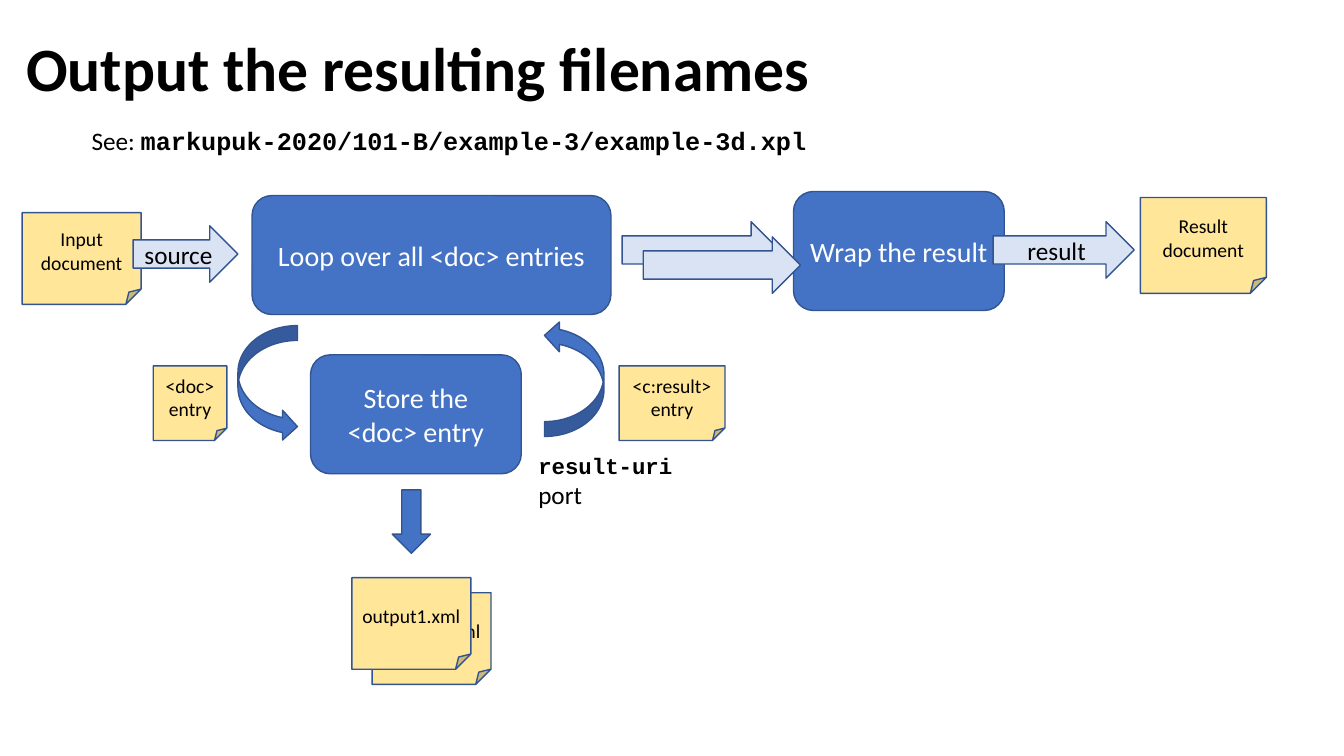
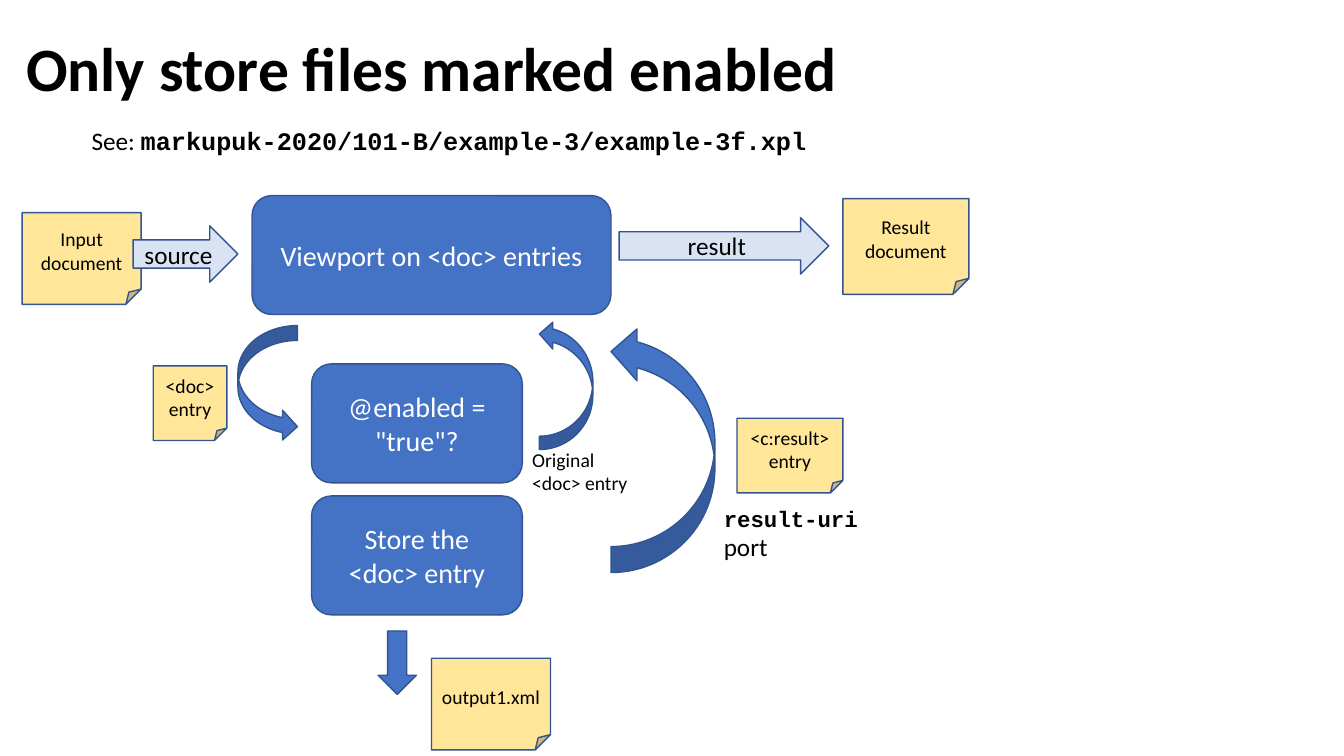
from pptx import Presentation
from pptx.dml.color import RGBColor
from pptx.enum.shapes import MSO_SHAPE
from pptx.enum.text import MSO_ANCHOR, MSO_AUTO_SIZE, PP_ALIGN
from pptx.util import Inches, Pt

BOX = MSO_SHAPE.ROUNDED_RECTANGLE
NOTE = MSO_SHAPE.FOLDED_CORNER
RIGHT_ARROW = MSO_SHAPE.RIGHT_ARROW
DOWN_ARROW = MSO_SHAPE.DOWN_ARROW
CURVED_ARROW = MSO_SHAPE.CURVED_RIGHT_ARROW
MIDDLE = MSO_ANCHOR.MIDDLE
CENTER, LEFT = PP_ALIGN.CENTER, PP_ALIGN.LEFT
NO_AUTOFIT = MSO_AUTO_SIZE.NONE
TITLE_ONLY = 5

COLORS = {
    "step": "4472C4",
    "note": "FFE699",
    "flow": "DAE3F3",
    "outline": "325491",
    "dark": "000000",
    "light": "FFFFFF",
}
SANS, MONO = "Calibri", "Courier New"
STEP_SIZE = (2.09, 1.18)
DOCUMENT_SIZE = (1.18, 0.91)
RESULT_SIZE = (1.25, 0.95)


def color(name):
    return RGBColor.from_string(COLORS[name])


def add_run(paragraph, text, size, font=SANS, bold=False, color_name="dark"):
    """Add text to the paragraph, turning newlines into line breaks."""
    for index, line in enumerate(text.split("\n")):
        if index:
            paragraph.add_line_break()
        if line:
            run = paragraph.add_run()
            run.text = line
            run.font.name = font
            run.font.size = Pt(size)
            run.font.bold = bold
            run.font.color.rgb = color(color_name)


def add_figure(slide, kind, left, top, size, fill, text="", text_size=18,
               text_color="dark", rotation=0):
    """Add an outlined preset shape with centred text."""
    width, height = size
    shape = slide.shapes.add_shape(
        kind, Inches(left), Inches(top), Inches(width), Inches(height))
    shape.shadow.inherit = False
    shape.rotation = rotation
    shape.fill.solid()
    shape.fill.fore_color.rgb = color(fill)
    shape.line.color.rgb = color("outline")
    shape.line.width = Pt(1)
    if text:
        frame = shape.text_frame
        frame.word_wrap = True
        frame.vertical_anchor = MIDDLE
        paragraph = frame.paragraphs[0]
        paragraph.alignment = CENTER
        add_run(paragraph, text, text_size, color_name=text_color)


def add_step(slide, left, top, text, size=STEP_SIZE):
    add_figure(slide, BOX, left, top, size, "step", text, 20, "light")


def add_note(slide, left, top, text, size=DOCUMENT_SIZE):
    add_figure(slide, NOTE, left, top, size, "note", text, 14)


def add_flow(slide, left, top, width, text=""):
    add_figure(slide, RIGHT_ARROW, left, top, (width, 0.56), "flow", text)


def add_loop_arrow(slide, left, top, size, rotation=0):
    add_figure(slide, CURVED_ARROW, left, top, size, "step", rotation=rotation)


def add_label(slide, left, top, width, height, runs):
    """Add a text box; each run is text, size and optional font and bold."""
    label = slide.shapes.add_textbox(
        Inches(left), Inches(top), Inches(width), Inches(height))
    label.text_frame.word_wrap = True
    for run in runs:
        add_run(label.text_frame.paragraphs[0], *run)


def add_heading(slide, title, example):
    placeholder = slide.shapes.title
    placeholder.left, placeholder.top = Inches(0.16), Inches(0.24)
    placeholder.width, placeholder.height = Inches(12.71), Inches(0.94)
    frame = placeholder.text_frame
    frame.auto_size = NO_AUTOFIT
    frame.vertical_anchor = MIDDLE
    paragraph = frame.paragraphs[0]
    paragraph.alignment = LEFT
    paragraph.line_spacing = 0.9
    add_run(paragraph, title, 44, bold=True)
    add_label(slide, 0.81, 1.19, 11.27, 0.71, [
        ("See: ", 18),
        (f"markupuk-2020/101-B/example-3/{example}.xpl", 18, MONO, True)])


def add_entry_loop(slide, left, top, text):
    """Add the input document, the main step and the entry sent into its loop."""
    add_step(slide, left + 2.28, top, text, (3.56, 1.18))
    add_note(slide, left, top + 0.17, "Input document")
    add_flow(slide, left + 1.1, top + 0.3, 1.04, "source")
    add_loop_arrow(slide, left + 2.14, top + 1.29, (0.59, 1.15))
    add_note(slide, left + 1.3, top + 1.69, "<doc> entry", (0.73, 0.74))


def add_store(slide, left, top, arrow_offset):
    """Add the storing step and the arrow that leaves it downwards."""
    add_step(slide, left, top, "Store the <doc> entry")
    add_figure(slide, DOWN_ARROW, left + arrow_offset, top + 1.34,
               (0.38, 0.63), "step")


def add_result_entry(slide, left, top, label_left):
    """Add the returned entry with the name of its port below."""
    add_note(slide, left, top, "<c:result>\nentry", (1.05, 0.74))
    add_label(slide, label_left, top + 0.81, 2.39, 0.67, [
        ("result-uri\n", 16, MONO, True), ("port", 18)])


def add_result(slide, left, top, arrow_width, gap, drop):
    """Add the result arrow and the document it leads to."""
    add_note(slide, left + arrow_width + gap, top - drop, "Result document",
             RESULT_SIZE)
    add_flow(slide, left, top, arrow_width, "result")


def build_filenames_slide(slide):
    add_heading(slide, "Output the resulting filenames", "example-3d")
    add_entry_loop(slide, 0.22, 1.94, "Loop over all <doc> entries")
    for number in (2, 1):
        add_note(slide, 3.29 + 0.2 * number, 5.58 + 0.15 * number,
                 f"output{number}.xml")
    add_store(slide, 3.08, 3.52, 0.81)
    add_loop_arrow(slide, 5.4, 3.18, (0.59, 1.15), 180)
    add_result_entry(slide, 6.14, 3.63, 5.24)
    add_flow(slide, 6.17, 2.2, 1.56)
    add_step(slide, 7.87, 1.9, "Wrap the result")
    add_flow(slide, 6.38, 2.35, 1.56)
    add_result(slide, 9.85, 2.2, 1.4, 0.06, 0.24)


def build_enabled_slide(slide):
    add_heading(slide, "Only store files marked enabled", "example-3f")
    add_entry_loop(slide, 0.22, 1.94, "Viewport on <doc> entries")
    add_result(slide, 6.14, 2.16, 2.08, 0.14, 0.19)
    add_step(slide, 3.09, 3.61, "@enabled = \"true\"?")
    add_loop_arrow(slide, 5.35, 3.18, (0.53, 1.28), 180)
    add_label(slide, 5.18, 4.39, 1.34, 0.57, [("Original <doc> entry", 14)])
    add_store(slide, 3.09, 4.92, 0.66)
    add_note(slide, 4.28, 6.53, "output1.xml")
    add_loop_arrow(slide, 6.06, 3.23, (1.03, 2.45), 180)
    add_result_entry(slide, 7.31, 4.15, 7.08)


def main():
    presentation = Presentation()
    presentation.slide_width = Inches(13.33)
    presentation.slide_height = Inches(7.5)
    layout = presentation.slide_layouts[TITLE_ONLY]
    for build in (build_filenames_slide, build_enabled_slide):
        build(presentation.slides.add_slide(layout))
    presentation.save("out.pptx")


if __name__ == "__main__":
    main()
